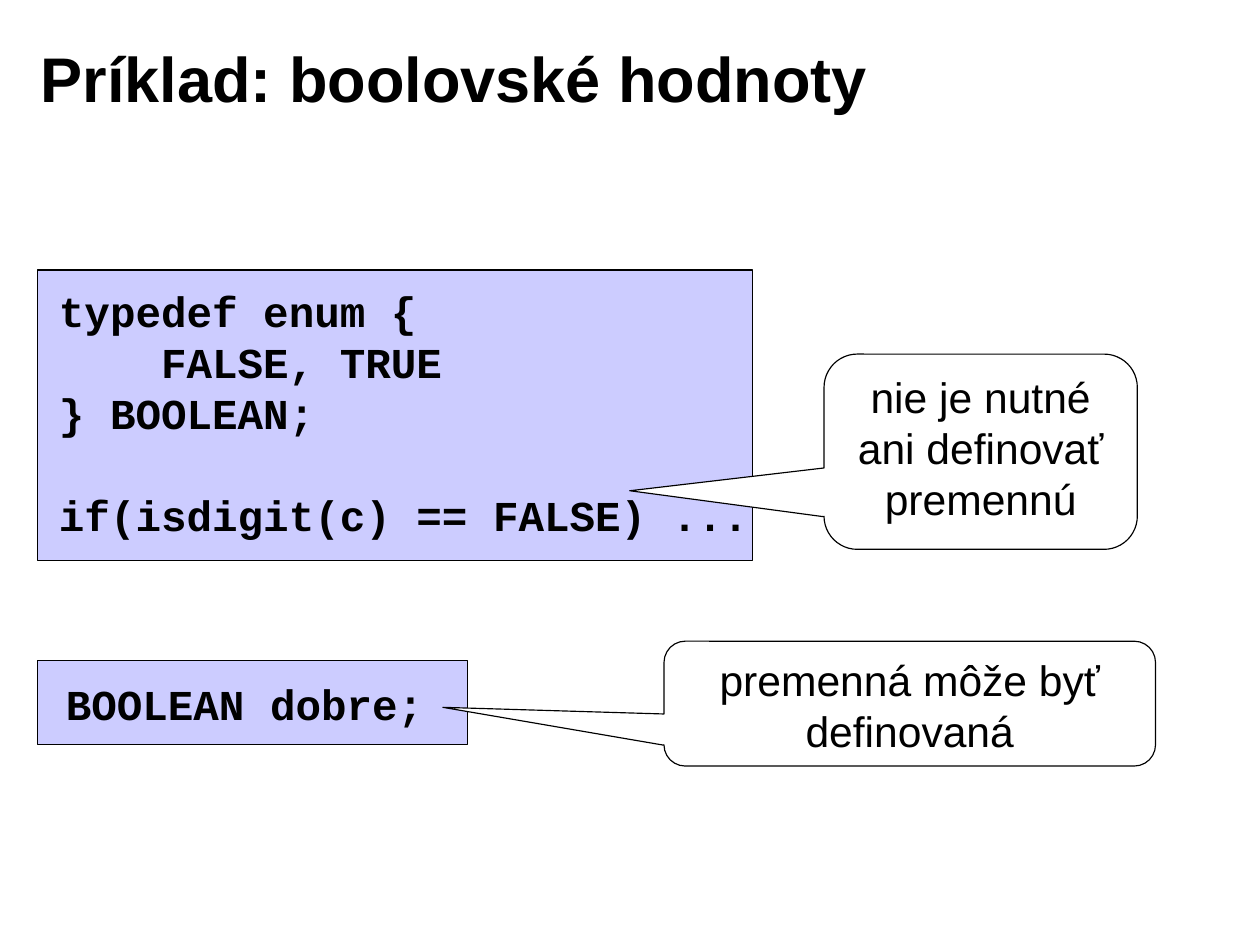
from pptx import Presentation
from pptx.dml.color import RGBColor
from pptx.enum import shapes, text
from pptx.util import Inches, Pt

TITLE = ("Príklad: boolovské hodnoty", (0.25, 0.17, 8.92, 1.02))
CODE_SIZE = 27
LINE_PITCH = 32.4

# Panel place, text place, lines of each block of code
LISTINGS = [
    ((0.33, 2.38, 6.3, 2.56), (0.41, 2.45, 6.3, 2.36),
     [["typedef enum {", "    FALSE, TRUE", "} BOOLEAN;"],
      ["if(isdigit(c) == FALSE) ..."]]),
    ((0.33, 5.82, 3.79, 0.74), (0.47, 5.91, 3.5, 0.57),
     [["BOOLEAN dobre;"]]),
]
# Wording, place, tip offset and corner radius
CALLOUTS = [
    ("nie je nutné ani definovať premennú", (7.26, 3.12, 2.76, 1.72),
     (-1.12, 0.2, 0.17)),
    ("premenná môže byť definovaná", (5.85, 5.65, 4.33, 1.1),
     (-0.95, 0.03, 0.17)),
]


def color(value):
    return RGBColor.from_string(value)


def place(at):
    return [Inches(length) for length in at]


def set_frame(frame, anchor=text.MSO_ANCHOR.TOP):
    frame.word_wrap = True
    frame.vertical_anchor = anchor
    frame.margin_left = frame.margin_right = Inches(0.11)
    frame.margin_top = frame.margin_bottom = Inches(0.06)


def set_font(para, name, size, bold=False):
    para.font.name = name
    para.font.size = Pt(size)
    para.font.bold = bold
    para.font.color.rgb = color("000000")


def add_outlined(page, kind, at, fill):
    shape = page.shapes.add_shape(kind, *place(at))
    shape.shadow.inherit = False
    shape.fill.solid()
    shape.fill.fore_color.rgb = color(fill)
    shape.line.color.rgb = color("000000")
    shape.line.width = Pt(0.75)
    return shape


def add_title(page, wording, at):
    frame = page.shapes.add_textbox(*place(at)).text_frame
    set_frame(frame, anchor=text.MSO_ANCHOR.MIDDLE)
    para = frame.paragraphs[0]
    para.text = wording
    set_font(para, "Arial", 40, bold=True)


def add_listing(page, panel_at, text_at, blocks):
    """Draw a code panel, with one line's space between blocks."""
    add_outlined(page, shapes.MSO_SHAPE.RECTANGLE, panel_at, "CCCCFF")
    frame = page.shapes.add_textbox(*place(text_at)).text_frame
    set_frame(frame)
    frame.word_wrap = False
    frame.auto_size = text.MSO_AUTO_SIZE.SHAPE_TO_FIT_TEXT
    para = frame.paragraphs[0]
    for block_index, block in enumerate(blocks):
        for line_index, line in enumerate(block):
            if block_index or line_index:
                para = frame.add_paragraph()
            para.text = line
            set_font(para, "Courier New", CODE_SIZE, bold=True)
            para.line_spacing = Pt(LINE_PITCH)
            if block_index and not line_index:
                para.space_before = Pt(LINE_PITCH)


def add_callout(page, wording, at, adjustments):
    callout = add_outlined(
        page, shapes.MSO_SHAPE.ROUNDED_RECTANGULAR_CALLOUT, at, "FFFFFF")
    for index, value in enumerate(adjustments):
        callout.adjustments[index] = value
    set_frame(callout.text_frame)
    para = callout.text_frame.paragraphs[0]
    para.text = wording
    para.alignment = text.PP_ALIGN.CENTER
    para.line_spacing = Pt(LINE_PITCH)
    set_font(para, "Arial", CODE_SIZE)


def main():
    deck = Presentation()
    deck.slide_width, deck.slide_height = Inches(11.1), Inches(8.3)
    page = deck.slides.add_slide(deck.slide_layouts[6])
    add_title(page, *TITLE)
    for listing in LISTINGS:
        add_listing(page, *listing)
    for callout in CALLOUTS:
        add_callout(page, *callout)
    deck.save("out.pptx")


if __name__ == "__main__":
    main()
